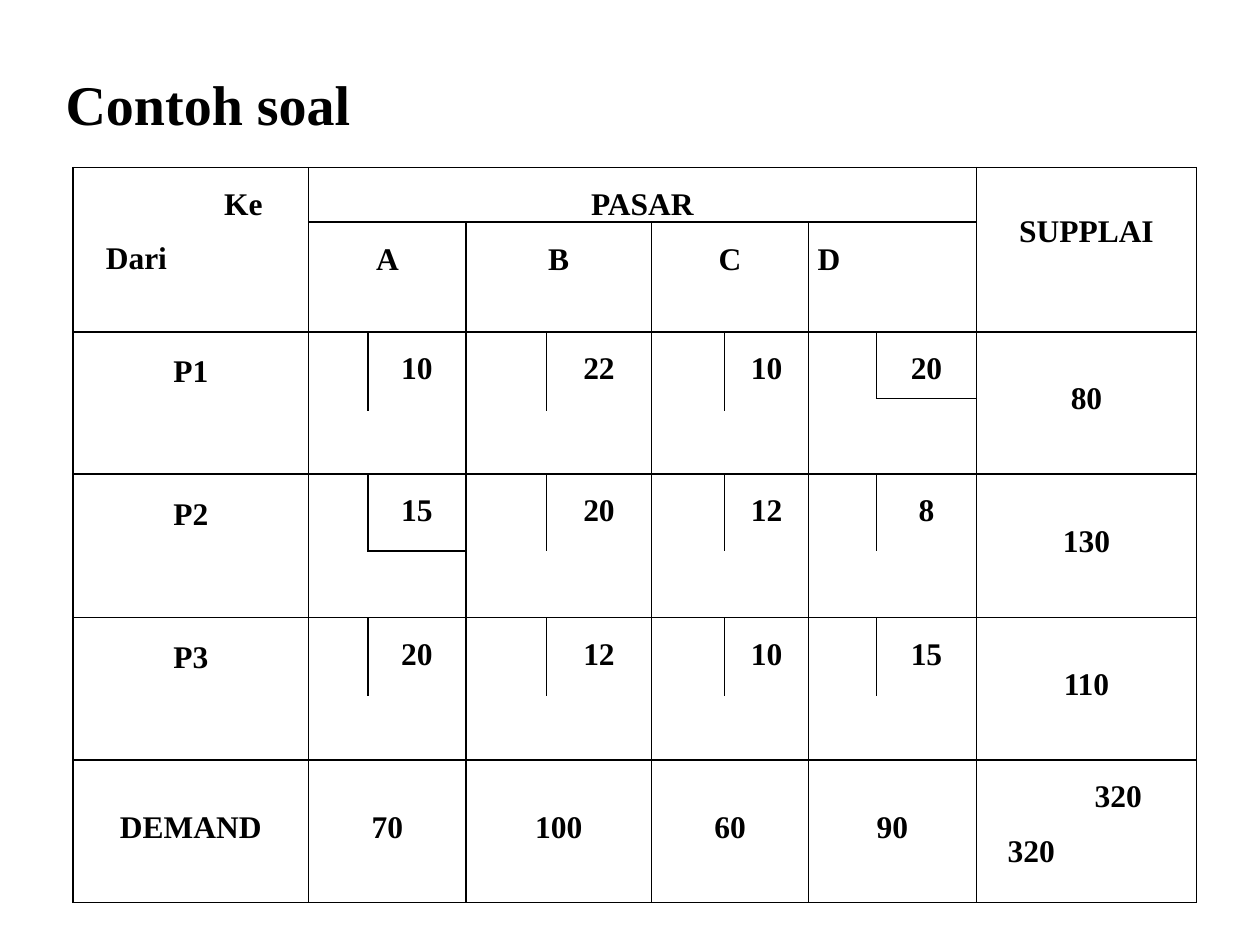
from lxml.etree import SubElement
from pptx import Presentation
from pptx.dml.color import RGBColor
from pptx.enum.text import MSO_ANCHOR, PP_ALIGN
from pptx.oxml.ns import qn
from pptx.util import Inches, Pt

COLORS = {"ink": "000000", "paper": "FFFFFF"}
FONT = "Times New Roman"
LINE = Pt(15.6)
COLUMN_WIDTHS = [1.87, 0.47, 0.78, 0.64, 0.83, 0.58, 0.67, 0.54, 0.79, 1.75]
ROW_HEIGHTS = [0.43, 0.87, 0.53, 0.1, 0.5, 0.61, 0.53, 0.62, 0.51, 1.13]
MARKETS = "ABCD"
DEMAND = [70, 100, 60, 90]
# product, first row, last row of the cost, last row, costs, supply, boxed market
PRODUCTS = [
    ("P1", 2, 3, 4, [10, 22, 10, 20], 80, "D"),
    ("P2", 5, 5, 6, [15, 20, 12, 8], 130, "A"),
    ("P3", 7, 7, 8, [20, 12, 10, 15], 110, None),
]


def style(paragraph, size, align):
    paragraph.alignment = align
    paragraph.font.name = FONT
    paragraph.font.size = Pt(size)
    paragraph.font.bold = True
    paragraph.font.color.rgb = RGBColor.from_string(COLORS["ink"])


def fill_area(top, left, bottom, right, lines=(), sides="LRTB", fill=None,
              middle=False, above=0, below=0, align=PP_ALIGN.CENTER):
    """Merge an area and rule its sides; lines hold (text, indent in inches),
    above and below are free text lines."""
    area = table.cell(top, left)
    if (top, left) != (bottom, right):
        area.merge(table.cell(bottom, right))
    for row in range(top, bottom + 1):
        for column in range(left, right + 1):
            cell = table.cell(row, column)
            outer = {"L": column == left, "R": column == right,
                     "T": row == top, "B": row == bottom}
            properties = cell._tc.get_or_add_tcPr()
            for side, on_edge in outer.items():
                border = SubElement(properties, qn(f"a:ln{side}"), w=str(Pt(1)))
                if on_edge and side in sides:
                    solid = SubElement(border, qn("a:solidFill"))
                    SubElement(solid, qn("a:srgbClr"), val=COLORS["ink"])
                else:
                    SubElement(border, qn("a:noFill"))
            if fill:
                cell.fill.solid()
                cell.fill.fore_color.rgb = RGBColor.from_string(fill)
            else:
                cell.fill.background()
            cell.margin_left = cell.margin_right = Inches(0.07)
            cell.margin_top = cell.margin_bottom = 0
            if not lines or (row, column) != (top, left):
                cell.text_frame.paragraphs[0]._p.get_or_add_endParaRPr().set("sz", "600")
    area.margin_top, area.margin_bottom = LINE * above, LINE * below
    area.vertical_anchor = MSO_ANCHOR.MIDDLE if middle else MSO_ANCHOR.TOP
    for number, (text, indent) in enumerate(lines):
        frame = area.text_frame
        paragraph = frame.add_paragraph() if number else frame.paragraphs[0]
        paragraph.text = str(text)
        style(paragraph, 18, align)
        paragraph.line_spacing = LINE
        if number:
            paragraph.space_before = LINE
        if indent:
            paragraph._p.get_or_add_pPr().set("marL", str(Inches(indent)))


prs = Presentation()
prs.slide_width, prs.slide_height = Inches(10), Inches(7.5)
slide = prs.slides.add_slide(prs.slide_layouts[0])
empty_title = slide.shapes.title._element
empty_title.getparent().remove(empty_title)

heading = slide.placeholders[1]
heading.left, heading.top = Inches(0.42), Inches(0.5)
heading.width, heading.height = Inches(9.25), Inches(6.58)
heading.text_frame.text = "Contoh soal"
heading.text_frame.vertical_anchor = MSO_ANCHOR.TOP
style(heading.text_frame.paragraphs[0], 32, PP_ALIGN.JUSTIFY)

table = slide.shapes.add_table(
    len(ROW_HEIGHTS), len(COLUMN_WIDTHS), Inches(0.58), Inches(1.33),
    Inches(sum(COLUMN_WIDTHS)), Inches(sum(ROW_HEIGHTS))).table
table.first_row = table.horz_banding = False
for column, width in zip(table.columns, COLUMN_WIDTHS):
    column.width = Inches(width)
for row, height in zip(table.rows, ROW_HEIGHTS):
    row.height = Inches(height)

# Header
fill_area(0, 0, 1, 0, [("Ke", 1.13), ("Dari", 0.19)], above=1, align=PP_ALIGN.LEFT)
fill_area(0, 1, 0, 8, [("PASAR", 0)], above=1)
fill_area(0, 9, 1, 9, [("SUPPLAI", 0)], above=2)
for index, market in enumerate(MARKETS):
    left = 1 + 2 * index
    fill_area(1, left, 1, left + 1, [(market, 0)], above=1,
              align=PP_ALIGN.LEFT if market == "D" else PP_ALIGN.CENTER)

# Costs: a boxed cost is ruled below, the others stand open
paper = COLORS["paper"]
for product, top, split, bottom, costs, supply, boxed in PRODUCTS:
    fill_area(top, 0, bottom, 0, [(product, 0)], middle=True, below=2)
    for index, (market, cost) in enumerate(zip(MARKETS, costs)):
        left = 1 + 2 * index
        right = left + 1
        if market == boxed:
            fill_area(top, left, bottom, left, fill=paper)
            fill_area(top, right, top, right, [(cost, 0)], fill=paper, above=1)
            fill_area(top + 1, right, bottom, right, sides="RTB", fill=paper)
        else:
            fill_area(top, left, split, left, sides="LRT", fill=paper)
            fill_area(top, right, split, right, [(cost, 0)], sides="LRT",
                      fill=paper, above=1)
            fill_area(split + 1, left, bottom, right, sides="LRB", fill=paper)
    fill_area(top, 9, bottom, 9, [(supply, 0)], middle=True)

# Totals
fill_area(9, 0, 9, 0, [("DEMAND", 0)], middle=True)
for index, demand in enumerate(DEMAND):
    left = 1 + 2 * index
    fill_area(9, left, 9, left + 1, [(demand, 0)], middle=True)
fill_area(9, 9, 9, 9, [(320, 0.87), (320, 0.18)], above=1, align=PP_ALIGN.LEFT)

prs.save("out.pptx")
